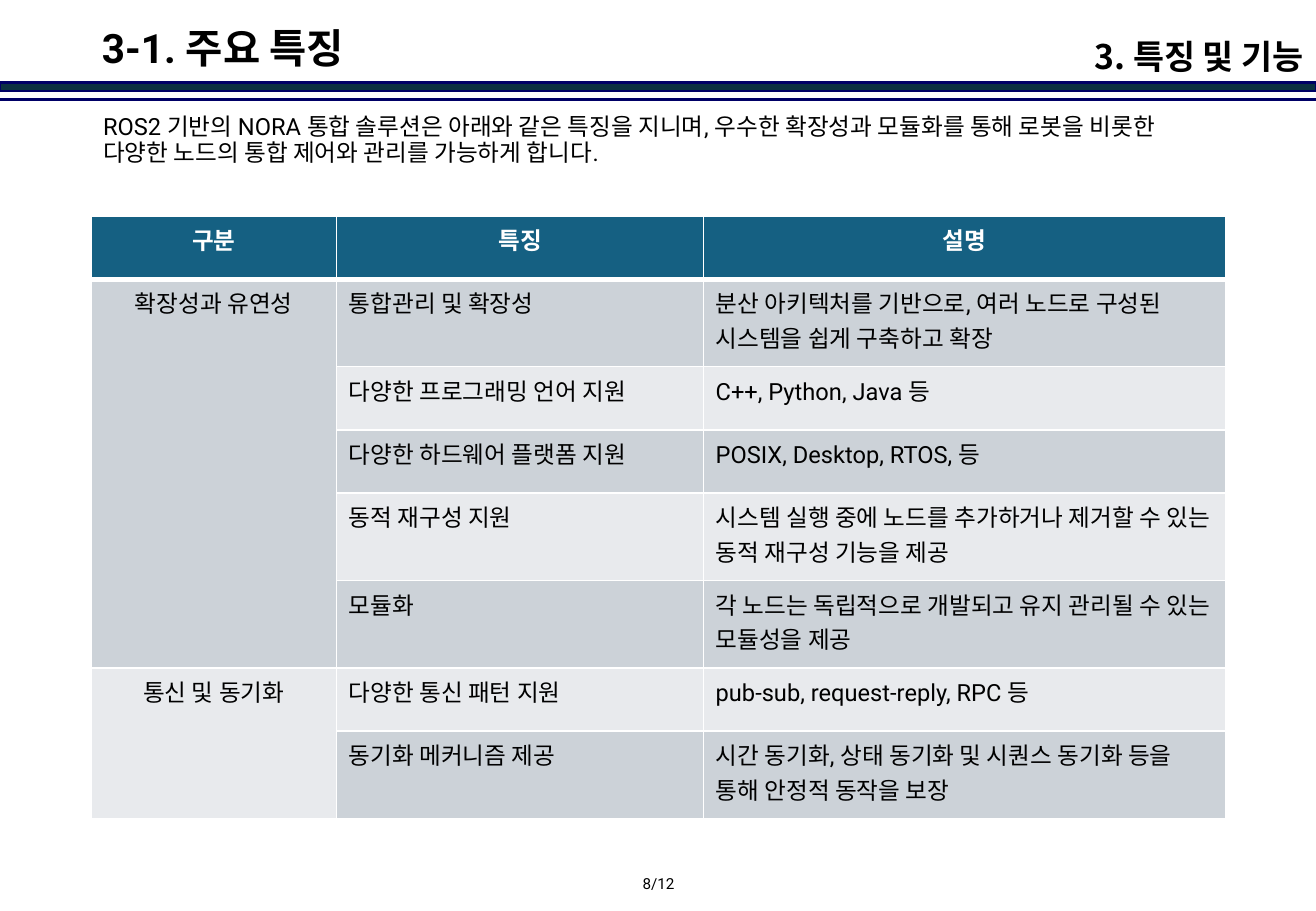
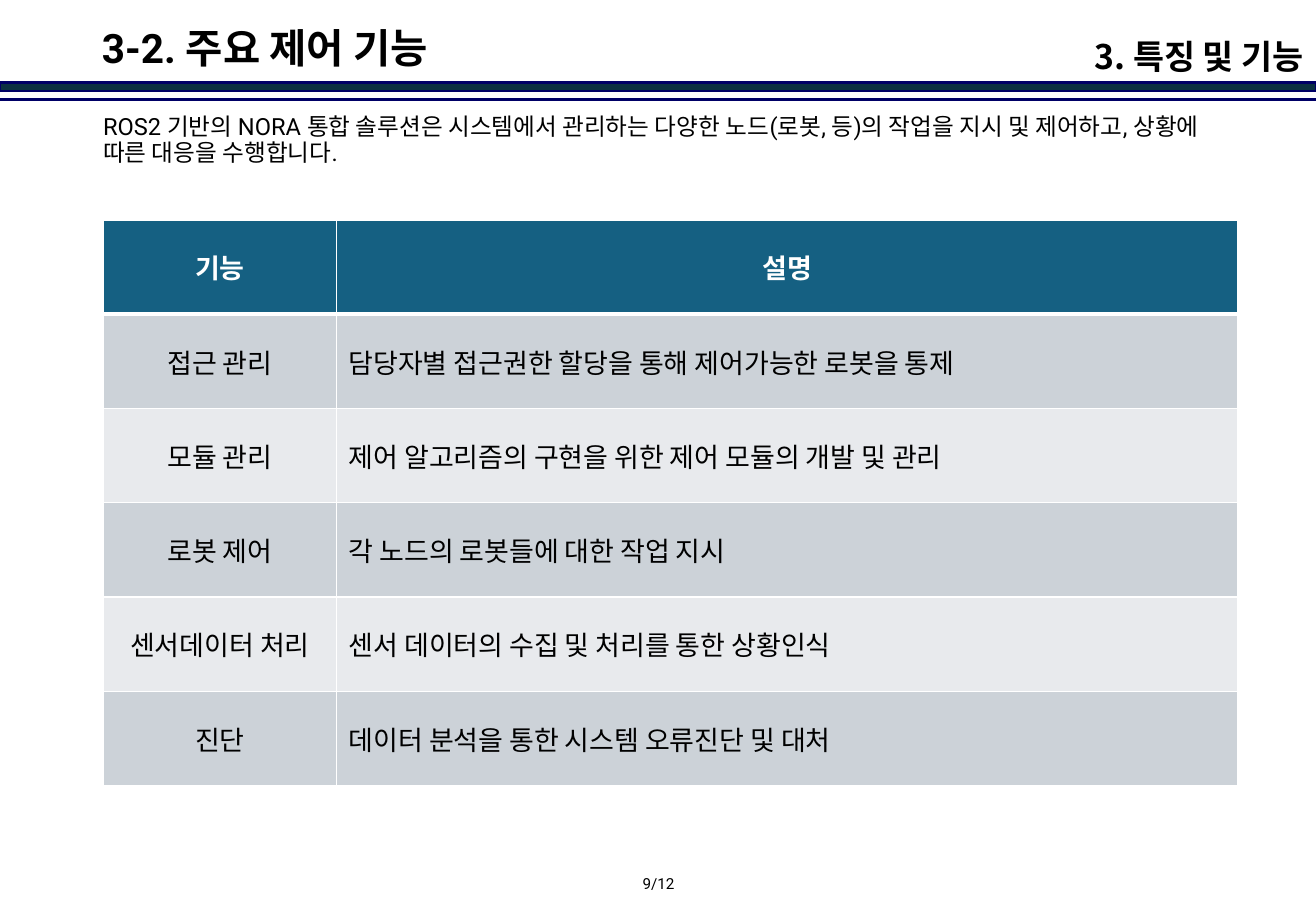
"""Build two slides on the features and control functions of a robot solution."""
from dataclasses import dataclass

from lxml import etree
from pptx import Presentation
from pptx.dml.color import RGBColor
from pptx.enum.shapes import MSO_CONNECTOR, MSO_SHAPE
from pptx.enum.text import MSO_ANCHOR, PP_ALIGN
from pptx.oxml.ns import qn
from pptx.slide import Slide
from pptx.table import _Cell
from pptx.util import Pt

LEFT, CENTER, RIGHT = PP_ALIGN.LEFT, PP_ALIGN.CENTER, PP_ALIGN.RIGHT
TOP, MIDDLE, BOTTOM = MSO_ANCHOR.TOP, MSO_ANCHOR.MIDDLE, MSO_ANCHOR.BOTTOM
RECT, STRAIGHT = MSO_SHAPE.RECTANGLE, MSO_CONNECTOR.STRAIGHT

WIDTH, HEIGHT = 779.76, 540
COLORS = {
    "band": "0B3041",
    "rule": "000066",
    "text": "000000",
    "white": "FFFFFF",
    "head": "156082",
    "odd": "CCD2D8",
    "even": "E8EAED",
}
SANS, KOREAN = "Roboto", "Noto Sans CJK KR"
SECTION = "3. 특징 및 기능"
PAGES = 12


@dataclass(frozen=True)
class Label:
    """Place and style of a text box."""
    left: float
    top: float
    width: float
    height: float
    size: float
    font: str = SANS
    bold: bool = False
    align: PP_ALIGN = LEFT
    anchor: MSO_ANCHOR = TOP
    before: float = 0
    spacing: float = 0.9


@dataclass(frozen=True)
class Grid:
    """Place, style and rows of a table; an empty first cell joins the one above."""
    left: float
    top: float
    cols: tuple[float, ...]
    heights: tuple[float, ...]
    size: float
    anchor: MSO_ANCHOR
    rows: tuple[tuple[str, ...], ...]


@dataclass(frozen=True)
class Page:
    """Content of one slide."""
    number: int
    title: str
    intro: str
    grid: Grid


TITLE = Label(53.28, 10.8, 480, 38.16, 24, bold=True, anchor=MIDDLE)
TAG = Label(491.04, 10.8, 288.72, 38.16, 20, KOREAN, True, RIGHT, BOTTOM, 10)
INTRO = Label(54, 64.8, 672.48, 95, 14, before=10)
FOOTER = Label(350.64, 514.8, 79.2, 18, 9, align=CENTER, spacing=1)

LOW, TALL = 37.44, 51.84
FEATURES = Grid(
    54, 128.16, (145.44, 217.44, 309.6),
    (LOW, TALL, LOW, LOW, TALL, TALL, LOW, TALL), 14, TOP,
    (
        ("구분", "특징", "설명"),
        ("확장성과 유연성", "통합관리 및 확장성",
         "분산 아키텍처를 기반으로, 여러 노드로 구성된 시스템을 쉽게 구축하고 확장"),
        ("", "다양한 프로그래밍 언어 지원", "C++, Python, Java 등"),
        ("", "다양한 하드웨어 플랫폼 지원", "POSIX, Desktop, RTOS, 등"),
        ("", "동적 재구성 지원",
         "시스템 실행 중에 노드를 추가하거나 제거할 수 있는 동적 재구성 기능을 제공"),
        ("", "모듈화",
         "각 노드는 독립적으로 개발되고 유지 관리될 수 있는 모듈성을 제공"),
        ("통신 및 동기화", "다양한 통신 패턴 지원", "pub-sub, request-reply, RPC 등"),
        ("", "동기화 메커니즘 제공",
         "시간 동기화, 상태 동기화 및 시퀀스 동기화 등을 통해 안정적 동작을 보장"),
    ),
)
CONTROLS = Grid(
    61.2, 130.32, (138.24, 534.24), (55.92,) * 6, 16, MIDDLE,
    (
        ("기능", "설명"),
        ("접근 관리", "담당자별 접근권한 할당을 통해 제어가능한 로봇을 통제"),
        ("모듈 관리", "제어 알고리즘의 구현을 위한 제어 모듈의 개발 및 관리"),
        ("로봇 제어", "각 노드의 로봇들에 대한 작업 지시"),
        ("센서데이터 처리", "센서 데이터의 수집 및 처리를 통한 상황인식"),
        ("진단", "데이터 분석을 통한 시스템 오류진단 및 대처"),
    ),
)
DECK = (
    Page(8, "3-1. 주요 특징",
         "ROS2 기반의 NORA 통합 솔루션은 아래와 같은 특징을 지니며, 우수한 확장성과 "
         "모듈화를 통해 로봇을 비롯한 다양한 노드의 통합 제어와 관리를 가능하게 합니다.",
         FEATURES),
    Page(9, "3-2. 주요 제어 기능",
         "ROS2 기반의 NORA 통합 솔루션은 시스템에서 관리하는 다양한 노드(로봇, 등)의 "
         "작업을 지시 및 제어하고, 상황에 따른 대응을 수행합니다.",
         CONTROLS),
)


def color(name: str) -> RGBColor:
    """Look up a named colour."""
    return RGBColor.from_string(COLORS[name])


def style(para, size: float, font: str, bold: bool, tint: str, align: PP_ALIGN) -> None:
    """Set the font and alignment of a paragraph."""
    para.alignment = align
    para.font.size = Pt(size)
    para.font.name = font
    para.font.bold = bold
    para.font.color.rgb = color(tint)


def write(slide: Slide, label: Label, text: str) -> None:
    """Add a text box."""
    box = slide.shapes.add_textbox(
        Pt(label.left), Pt(label.top), Pt(label.width), Pt(label.height))
    frame = box.text_frame
    frame.word_wrap = True
    frame.vertical_anchor = label.anchor
    frame.text = text
    para = frame.paragraphs[0]
    para.line_spacing = label.spacing
    para.space_before = Pt(label.before)
    style(para, label.size, label.font, label.bold, "text", label.align)


def draw_band(slide: Slide) -> None:
    """Draw the band and the rule under the title."""
    band = slide.shapes.add_shape(RECT, 0, Pt(48.96), Pt(WIDTH), Pt(5.04))
    band.shadow.inherit = False
    band.fill.solid()
    band.fill.fore_color.rgb = color("band")
    rule = slide.shapes.add_connector(STRAIGHT, 0, Pt(59.04), Pt(WIDTH), Pt(59.04))
    etree.SubElement(rule._element.spPr, qn("a:effectLst"))
    for item in (band, rule):
        item.line.color.rgb = color("rule")
        item.line.width = Pt(1.5)


def edge(cell: _Cell, row: int) -> None:
    """Give a cell white borders, thick between header and body."""
    props = cell._tc.get_or_add_tcPr()
    thick = {0: "B", 1: "T"}.get(row)
    for side in "LRTB":
        line = etree.SubElement(props, qn(f"a:ln{side}"))
        line.set("w", str(int(Pt(3 if side == thick else 1))))
        fill = etree.SubElement(line, qn("a:solidFill"))
        etree.SubElement(fill, qn("a:srgbClr")).set("val", COLORS["white"])


def draw_grid(slide: Slide, grid: Grid) -> None:
    """Add a table with a header row and banded body rows."""
    table = slide.shapes.add_table(
        len(grid.rows), len(grid.cols), Pt(grid.left), Pt(grid.top),
        Pt(sum(grid.cols)), Pt(sum(grid.heights))).table
    for col, width in zip(table.columns, grid.cols):
        col.width = Pt(width)
    start = 0
    for row, texts in enumerate(grid.rows):
        table.rows[row].height = Pt(grid.heights[row])
        if texts[0]:
            start = row
        head = row == 0
        for col, text in enumerate(texts):
            cell = table.cell(row, col)
            edge(cell, row)
            band = start if col == 0 else row
            cell.fill.solid()
            cell.fill.fore_color.rgb = color(
                "head" if head else "odd" if band % 2 else "even")
            cell.vertical_anchor = grid.anchor
            cell.text = text
            style(cell.text_frame.paragraphs[0], grid.size, SANS, head,
                  "white" if head else "text", CENTER if head or col == 0 else LEFT)
    tops = [row for row, texts in enumerate(grid.rows) if texts[0]]
    for top, end in zip(tops, tops[1:] + [len(grid.rows)]):
        if end - top > 1:
            table.cell(top, 0).merge(table.cell(end - 1, 0))


def main() -> None:
    """Build and save the deck."""
    deck = Presentation()
    deck.slide_width, deck.slide_height = Pt(WIDTH), Pt(HEIGHT)
    for page in DECK:
        slide = deck.slides.add_slide(deck.slide_layouts[6])
        draw_band(slide)
        write(slide, FOOTER, f"{page.number}/{PAGES}")
        write(slide, TITLE, page.title)
        write(slide, INTRO, page.intro)
        write(slide, TAG, SECTION)
        draw_grid(slide, page.grid)
    deck.save("out.pptx")


if __name__ == "__main__":
    main()
